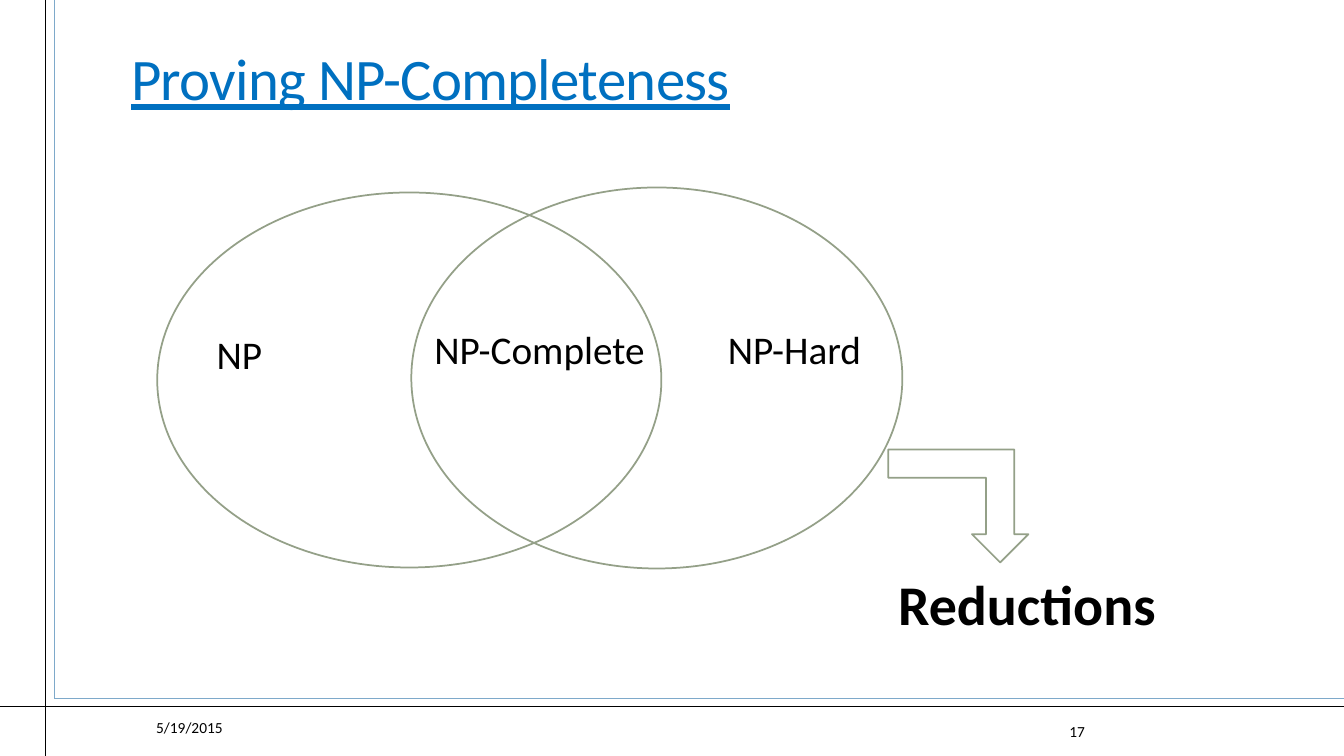
from pptx import Presentation
from pptx.dml.color import RGBColor
from pptx.enum.shapes import MSO_CONNECTOR, MSO_SHAPE
from pptx.enum.text import MSO_ANCHOR, MSO_AUTO_SIZE, PP_ALIGN
from pptx.oxml.ns import qn
from pptx.util import Inches, Pt
from lxml import etree

OVAL, ARROW = MSO_SHAPE.OVAL, MSO_SHAPE.BENT_UP_ARROW
LINE = MSO_CONNECTOR.STRAIGHT
TOP, MIDDLE, BOTTOM = MSO_ANCHOR.TOP, MSO_ANCHOR.MIDDLE, MSO_ANCHOR.BOTTOM
LEFT, CENTER, RIGHT = PP_ALIGN.LEFT, PP_ALIGN.CENTER, PP_ALIGN.RIGHT
FIXED, GROW = MSO_AUTO_SIZE.NONE, MSO_AUTO_SIZE.SHAPE_TO_FIT_TEXT
COLORS = {"title": "0070C0", "text": "000000", "rule": "000000",
          "frame": "7EA9CA", "edge": "94A088", "fill": "FFFFFF"}


def color(name):
    return RGBColor.from_string(COLORS[name])


def write(shape, text, size, name="text", align=LEFT, anchor=TOP, fit=FIXED):
    frame = shape.text_frame
    frame.text = text
    frame.word_wrap = True
    frame.auto_size = fit
    frame.vertical_anchor = anchor
    para = frame.paragraphs[0]
    para.alignment = align
    font = para.runs[0].font
    font.name, font.size = "Calibri", Pt(size)
    font.color.rgb = color(name)
    return para


deck = Presentation()
deck.slide_width, deck.slide_height = Inches(13.33), Inches(7.5)
slide = deck.slides.add_slide(deck.slide_layouts[5])
shapes = slide.shapes

# Title
title = shapes.title
title.left, title.top = Inches(1.2), Inches(0.31)
title.width, title.height = Inches(11), Inches(0.86)
para = write(title, "Proving NP-Completeness", 42, "title", anchor=BOTTOM)
para.line_spacing = 0.85
run = para.runs[0]
run.font.underline = True
run.font._element.set("spc", "-50")

# Border lines
for x1, y1, x2, y2, name in [
    (0.45, 0, 0.45, 7.5, "rule"),
    (0, 7.01, 13.33, 7.01, "rule"),
    (0.54, 0, 0.54, 6.93, "frame"),
    (0.54, 6.93, 13.33, 6.93, "frame"),
]:
    line = shapes.add_connector(LINE, Inches(x1), Inches(y1), Inches(x2), Inches(y2))
    line.line.color.rgb = color(name)
    line.line.width = Pt(1)
    etree.SubElement(line._element.spPr, qn("a:effectLst"))

# Date and page number
for text, x, y, width, align in [
    ("5/19/2015", 0.53, 7.02, 2.7, CENTER),
    ("17", 9.43, 7.06, 1.43, RIGHT),
]:
    box = shapes.add_textbox(Inches(x), Inches(y), Inches(width), Inches(0.4))
    write(box, text, 11, align=align, anchor=MIDDLE)

# Overlapping sets and the arrow to reductions
for kind, x, y, width, height in [
    (OVAL, 1.56, 1.91, 5, 3.72),
    (OVAL, 4.08, 1.86, 4.87, 3.78),
    (ARROW, 8.81, 4.46, 1.39, 1.12),
]:
    shape = shapes.add_shape(kind, Inches(x), Inches(y), Inches(width), Inches(height))
    shape.shadow.inherit = False
    shape.line.color.rgb = color("edge")
    shape.line.width = Pt(1.25)
    if kind == ARROW:
        shape.fill.solid()
        shape.fill.fore_color.rgb = color("fill")
        shape._element.spPr.find(qn("a:xfrm")).set("flipV", "1")
    else:
        shape.fill.background()

# Labels
for text, x, y, width, height, size, bold in [
    ("NP", 2.05, 3.23, 0.98, 0.57, 28, False),
    ("NP-Hard", 7.12, 3.18, 2.25, 0.57, 28, False),
    ("NP-Complete", 4.21, 3.18, 2.51, 0.57, 28, False),
    ("Reductions", 8.81, 5.6, 2.86, 0.77, 40, True),
]:
    box = shapes.add_textbox(Inches(x), Inches(y), Inches(width), Inches(height))
    para = write(box, text, size, fit=GROW)
    para.runs[0].font.bold = bold

deck.save("out.pptx")
